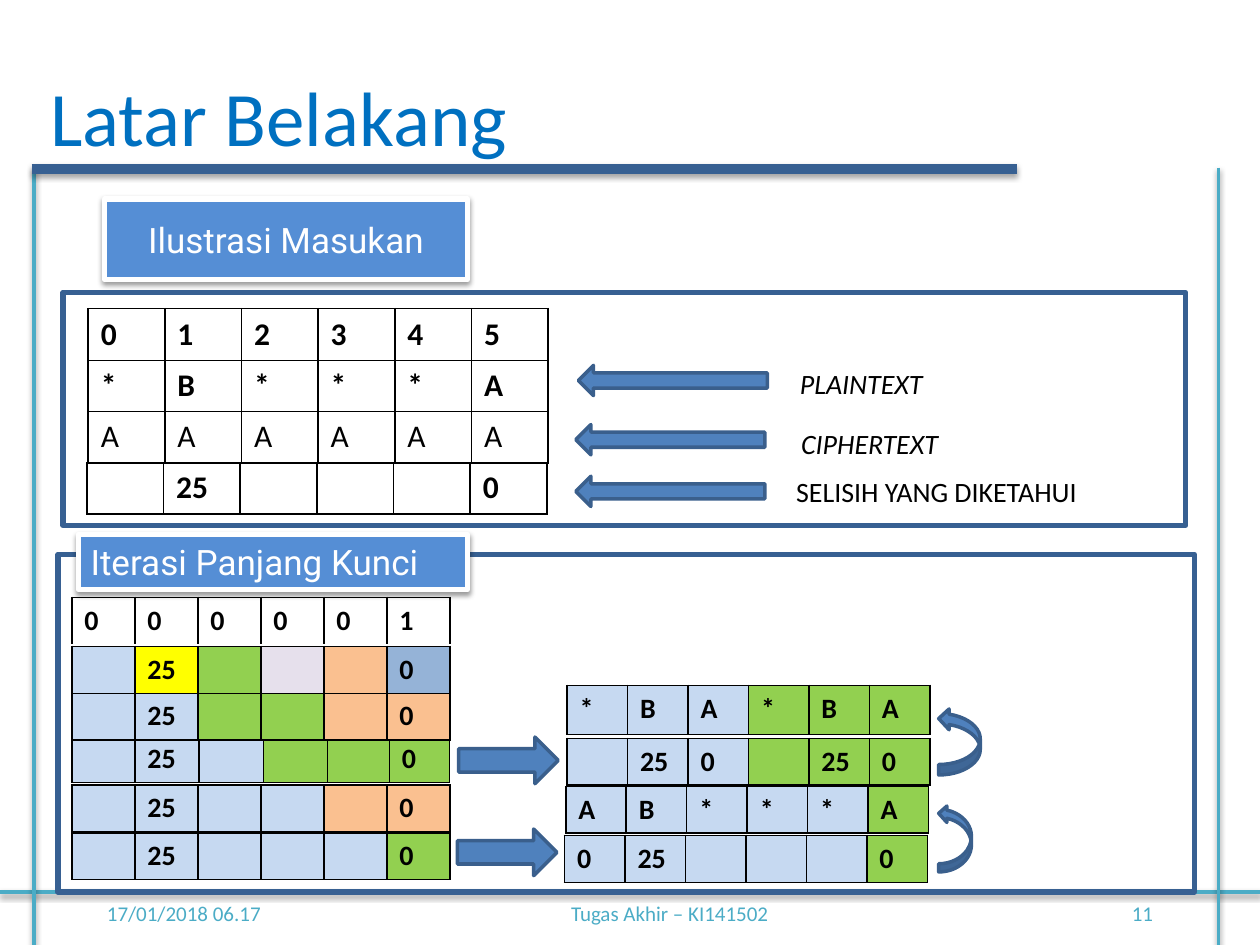
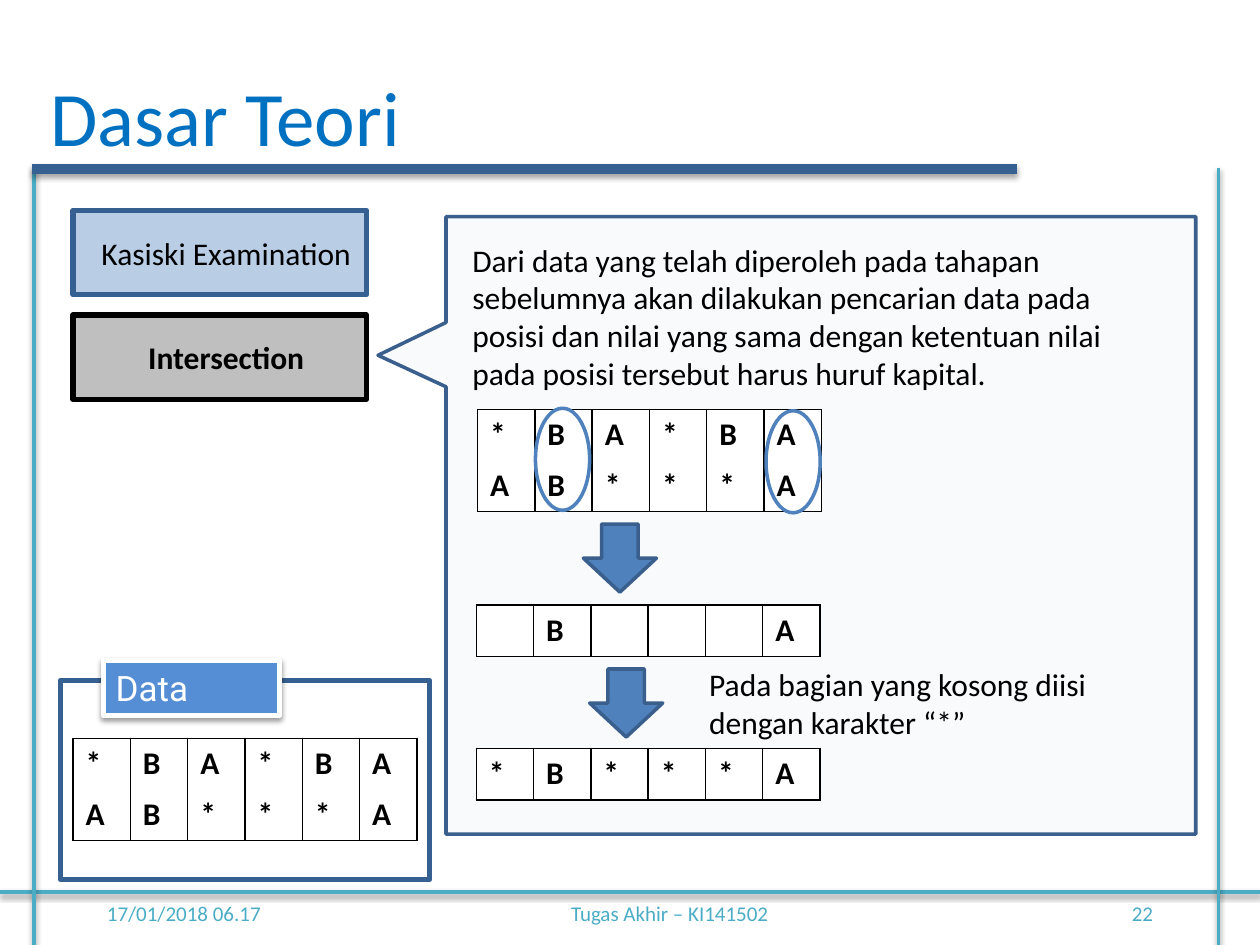
from lxml import etree
from pptx import Presentation
from pptx.dml.color import RGBColor
from pptx.enum.shapes import MSO_CONNECTOR, MSO_SHAPE
from pptx.enum.text import MSO_ANCHOR, MSO_AUTO_SIZE, PP_ALIGN
from pptx.oxml.ns import qn
from pptx.util import Inches, Pt

STRAIGHT = MSO_CONNECTOR.STRAIGHT
RECTANGLE, ELLIPSE = MSO_SHAPE.RECTANGLE, MSO_SHAPE.OVAL
LEFT_ARROW, RIGHT_ARROW = MSO_SHAPE.LEFT_ARROW, MSO_SHAPE.RIGHT_ARROW
DOWN_ARROW, CURVED_ARROW = MSO_SHAPE.DOWN_ARROW, MSO_SHAPE.CURVED_RIGHT_ARROW
TOP, MIDDLE = MSO_ANCHOR.TOP, MSO_ANCHOR.MIDDLE
LEFT, CENTER, RIGHT = PP_ALIGN.LEFT, PP_ALIGN.CENTER, PP_ALIGN.RIGHT
NO_AUTOFIT = MSO_AUTO_SIZE.NONE

BODY_FONT, LABEL_FONT = "Calibri", "Roboto"
BLACK, WHITE = "000000", "FFFFFF"
TITLE_BLUE, FRAME_BLUE, LABEL_BLUE = "0070C0", "376092", "558ED5"
ARROW_BLUE, OUTLINE_BLUE, TEAL = "4F81BD", "3A5F8C", "4BACC6"
CELL_COLORS = {
    "b": "C6D9F1", "g": "92D050", "o": "FAC090", "y": "FFFF00",
    "v": "E6E0EC", "s": "95B3D7", "w": WHITE, "-": None,
}
NO_TABLE_STYLE = "{2D5ABB26-0587-4C30-8999-92F81FD0307C}"


def rgb(value):
    return RGBColor.from_string(value)


def add_shadow(effects, opacity):
    shadow = etree.SubElement(
        effects, qn("a:outerShdw"), blurRad=str(Pt(3.1)), dist=str(Pt(1.7)),
        dir="5400000", rotWithShape="0")
    color = etree.SubElement(shadow, qn("a:srgbClr"), val=BLACK)
    etree.SubElement(color, qn("a:alpha"), val=str(opacity * 1000))


class Deck:
    def __init__(self):
        self.presentation = Presentation()
        self.presentation.slide_width = Inches(10)
        self.presentation.slide_height = Inches(7.5)
        self.slide = None

    def start(self, title, title_width, number):
        layout = self.presentation.slide_layouts[5]
        self.slide = self.presentation.slides.add_slide(layout)
        self.text(0.75, 7, 2.08, 0.5, "17/01/2018 06.17", 12, TEAL, anchor=MIDDLE)
        self.text(3.75, 7, 3.17, 0.5, "Tugas Akhir – KI141502 ", 12, TEAL,
                  align=CENTER, anchor=MIDDLE)
        self.text(7.17, 7, 2.08, 0.5, number, 12, TEAL, align=RIGHT, anchor=MIDDLE)
        self.line(0, 7.08, 10, 7.08)
        self.line(0.27, 1.33, 0.27, 7.5)
        self.line(9.67, 1.33, 9.67, 7.5)
        placeholder = self.slide.shapes.title
        placeholder.left, placeholder.top = Inches(0.3), Inches(0.5)
        placeholder.width, placeholder.height = Inches(title_width), Inches(0.84)
        self.set_text(placeholder.text_frame, title, 44, TITLE_BLUE)
        placeholder.text_frame.word_wrap = False
        self.line(0.25, 1.34, 8.07, 1.34, FRAME_BLUE, 6, 35)

    def set_text(self, frame, content, size, color=BLACK, font=BODY_FONT, bold=False,
                 italic=False, align=LEFT, anchor=TOP, space_after=0):
        frame.word_wrap = True
        frame.auto_size = NO_AUTOFIT
        frame.vertical_anchor = anchor
        paragraph = frame.paragraphs[0]
        paragraph.alignment = align
        paragraph.space_after = Pt(space_after)
        run = paragraph.add_run()
        run.text = content
        run.font.name, run.font.size = font, Pt(size)
        run.font.bold, run.font.italic = bold, italic
        run.font.color.rgb = rgb(color)

    def text(self, left, top, width, height, content, size, color=BLACK, **style):
        box = self.slide.shapes.add_textbox(
            Inches(left), Inches(top), Inches(width), Inches(height))
        self.set_text(box.text_frame, content, size, color, **style)

    def line(self, x1, y1, x2, y2, color=TEAL, weight=2, opacity=38):
        connector = self.slide.shapes.add_connector(
            STRAIGHT, Inches(x1), Inches(y1), Inches(x2), Inches(y2))
        connector.line.color.rgb = rgb(color)
        connector.line.width = Pt(weight)
        properties = connector._element.spPr
        add_shadow(etree.SubElement(properties, qn("a:effectLst")), opacity)

    def paint(self, shape, fill, outline, weight):
        shape.shadow.inherit = False
        if fill:
            shape.fill.solid()
            shape.fill.fore_color.rgb = rgb(fill)
        else:
            shape.fill.background()
        shape.line.color.rgb = rgb(outline)
        shape.line.width = Pt(weight)

    def shape(self, kind, left, top, width, height, fill=ARROW_BLUE,
              outline=OUTLINE_BLUE, weight=2):
        shape = self.slide.shapes.add_shape(
            kind, Inches(left), Inches(top), Inches(width), Inches(height))
        self.paint(shape, fill, outline, weight)
        return shape

    def frame(self, left, top, width, height):
        self.shape(RECTANGLE, left, top, width, height, None, FRAME_BLUE, 3)

    def label(self, left, top, width, height, content, align=LEFT):
        shape = self.shape(RECTANGLE, left, top, width, height, LABEL_BLUE, WHITE, 3)
        add_shadow(shape._element.spPr.find(qn("a:effectLst")), 38)
        self.set_text(shape.text_frame, content, 20, WHITE, LABEL_FONT,
                      align=align, anchor=MIDDLE, space_after=3)

    def topic(self, top, content, fill, outline, bold=False):
        shape = self.shape(RECTANGLE, 0.58, top, 2.33, 0.67, fill, outline, 3)
        shape.text_frame.margin_left = Inches(0.2)
        self.set_text(shape.text_frame, content, 18, bold=bold, align=CENTER,
                      anchor=MIDDLE)

    def curved_arrow(self, left, top, width, height):
        self.shape(CURVED_ARROW, left, top, width, height).rotation = 180

    def callout(self, points, fill, opacity):
        corners = [(Inches(x), Inches(y)) for x, y in points]
        builder = self.slide.shapes.build_freeform(*corners[0], scale=1.0)
        builder.add_line_segments(corners[1:], close=True)
        shape = builder.convert_to_shape()
        self.paint(shape, fill, OUTLINE_BLUE, 2)
        color = shape._element.spPr.find(qn("a:solidFill"))[0]
        etree.SubElement(color, qn("a:alpha"), val=str(opacity * 1000))

    def borders(self, cell, sides):
        properties = cell._tc.get_or_add_tcPr()
        for side in "LRTB":
            border = etree.SubElement(properties, qn("a:ln" + side), w=str(Pt(1)))
            if side in sides:
                fill = etree.SubElement(border, qn("a:solidFill"))
                etree.SubElement(fill, qn("a:srgbClr"), val=BLACK)
            else:
                etree.SubElement(border, qn("a:noFill"))

    def grid(self, left, top, width, rows, fills="------", size=18, heights=(0.41,),
             sides="LRTB", columns=None, plain_rows=()):
        records = [row.split(",") for row in rows]
        count = len(records[0])
        table = self.slide.shapes.add_table(
            len(records), count, Inches(left), Inches(top),
            Inches(width), Inches(sum(heights))).table
        table.first_row = table.horz_banding = False
        table._tbl.tblPr.find(qn("a:tableStyleId")).text = NO_TABLE_STYLE
        for index, column in enumerate(table.columns):
            column.width = Inches(columns[index] if columns else width / count)
        for row_index, record in enumerate(records):
            table.rows[row_index].height = Inches(heights[row_index])
            for column_index, value in enumerate(record):
                cell = table.cell(row_index, column_index)
                self.borders(cell, sides)
                fill = CELL_COLORS[fills[column_index]]
                if fill:
                    cell.fill.solid()
                    cell.fill.fore_color.rgb = rgb(fill)
                else:
                    cell.fill.background()
                paragraph = cell.text_frame.paragraphs[0]
                if value:
                    run = paragraph.add_run()
                    run.text = value
                    run.font.name, run.font.size = BODY_FONT, Pt(size)
                    run.font.bold = row_index not in plain_rows
                    run.font.color.rgb = rgb(BLACK)
                else:
                    etree.SubElement(paragraph._p, qn("a:endParaRPr"), sz=str(size * 100))


def build_background(deck):
    deck.start("Latar Belakang", 3.86, "11")
    deck.label(0.83, 1.58, 2.88, 0.64, "Ilustrasi Masukan", CENTER)
    deck.frame(0.5, 2.32, 8.91, 1.85)
    deck.grid(0.7, 2.86, 3.65, ["*,B,*,*,*,A", "A,A,A,A,A,A"],
              heights=(0.4, 0.41), plain_rows=(1,))
    deck.grid(0.69, 3.67, 3.65, [",25,,,,0"], sides="LRB")
    deck.grid(0.7, 2.45, 3.65, ["0,1,2,3,4,5"], sides="LRT")
    for arrow_left, arrow_top, left, top, content, italic in (
            (4.59, 2.9, 6.25, 2.86, "PLAINTEXT", True),
            (4.57, 3.37, 6.26, 3.34, "CIPHERTEXT", True),
            (4.57, 3.78, 6.22, 3.72, "SELISIH YANG DIKETAHUI", False)):
        deck.shape(LEFT_ARROW, arrow_left, arrow_top, 1.5, 0.24)
        deck.text(left, top, 2.92, 0.37, content, 16, italic=italic)

    deck.frame(0.46, 4.4, 9.02, 2.68)
    deck.label(0.62, 4.24, 3.09, 0.44, "Iterasi Panjang Kunci")
    row = {"size": 16, "heights": (0.37,)}
    uneven = (0.5, 0.51, 0.51, 0.51, 0.49, 0.48)
    for top, fills, columns in (
            (6.61, "bbbbbg", None), (6.23, "bbbboo", None), (5.84, "bbbggg", uneven),
            (5.5, "bbggoo", None), (5.13, "bygvos", None)):
        deck.grid(0.57, top, 3, [",25,,,,0"], fills, columns=columns, **row)
    deck.grid(0.57, 4.74, 3, ["0,0,0,0,0,1"], sides="LRT", **row)
    deck.grid(4.5, 5.86, 2.88, [",25,0,,25,0"], "bbbggg", **row)
    deck.grid(4.5, 5.44, 2.88, ["*,B,A,*,B,A"], "bbbggg", size=16, heights=(0.39,))
    deck.grid(4.48, 6.63, 2.88, ["0,25,,,,0"], "bbbbbg", **row)
    deck.grid(4.49, 6.24, 2.88, ["A,B,*,*,*,A"], "bbbbbg", **row)
    deck.shape(RIGHT_ARROW, 3.64, 5.85, 0.79, 0.37)
    deck.shape(RIGHT_ARROW, 3.63, 6.58, 0.79, 0.37)
    deck.curved_arrow(7.45, 5.62, 0.33, 0.53)
    deck.curved_arrow(7.45, 6.39, 0.26, 0.53)


def build_theory(deck):
    deck.start("Dasar Teori", 3.01, "22")
    deck.frame(0.48, 5.4, 2.93, 1.58)
    deck.label(0.82, 5.24, 1.4, 0.44, "Data")
    deck.callout([(3.54, 1.72), (9.49, 1.72), (9.49, 6.62), (3.54, 6.62),
                  (3.54, 3.07), (3, 2.82), (3.54, 2.56)], "DCE6F2", 20)
    deck.text(3.65, 1.86, 5.68, 1.31,
              "Dari data yang telah diperoleh pada tahapan sebelumnya akan dilakukan "
              "pencarian data pada posisi dan nilai yang sama dengan ketentuan nilai "
              "pada posisi tersebut harus huruf kapital.", 18)
    deck.topic(2.5, "Intersection", "BFBFBF", BLACK, bold=True)
    deck.topic(1.67, "Kasiski Examination", "B9CDE5", FRAME_BLUE)
    first, second = "*,B,A,*,B,A", "A,B,*,*,*,A"
    for left, top, values, sides in (
            (0.58, 5.86, first, "LRT"), (0.58, 6.26, second, "LRB"),
            (3.79, 3.25, first, "LRTB"), (3.79, 3.65, second, "LRB"),
            (3.78, 4.8, ",B,,,,A", "LRTB"), (3.78, 5.94, "*,B,*,*,*,A", "LRTB")):
        deck.grid(left, top, 2.73, [values], "wwwwww", sides=sides)
    deck.shape(DOWN_ARROW, 4.63, 4.16, 0.58, 0.54)
    deck.shape(DOWN_ARROW, 4.68, 5.31, 0.58, 0.54)
    deck.text(5.53, 5.23, 3.83, 0.71,
              "Pada bagian yang kosong diisi dengan karakter “*”", 18)
    for left, top in ((4.25, 3.24), (6.08, 3.26)):
        deck.shape(ELLIPSE, left, top, 0.43, 0.81, None, ARROW_BLUE)


deck = Deck()
build_background(deck)
build_theory(deck)
deck.presentation.save("out.pptx")
